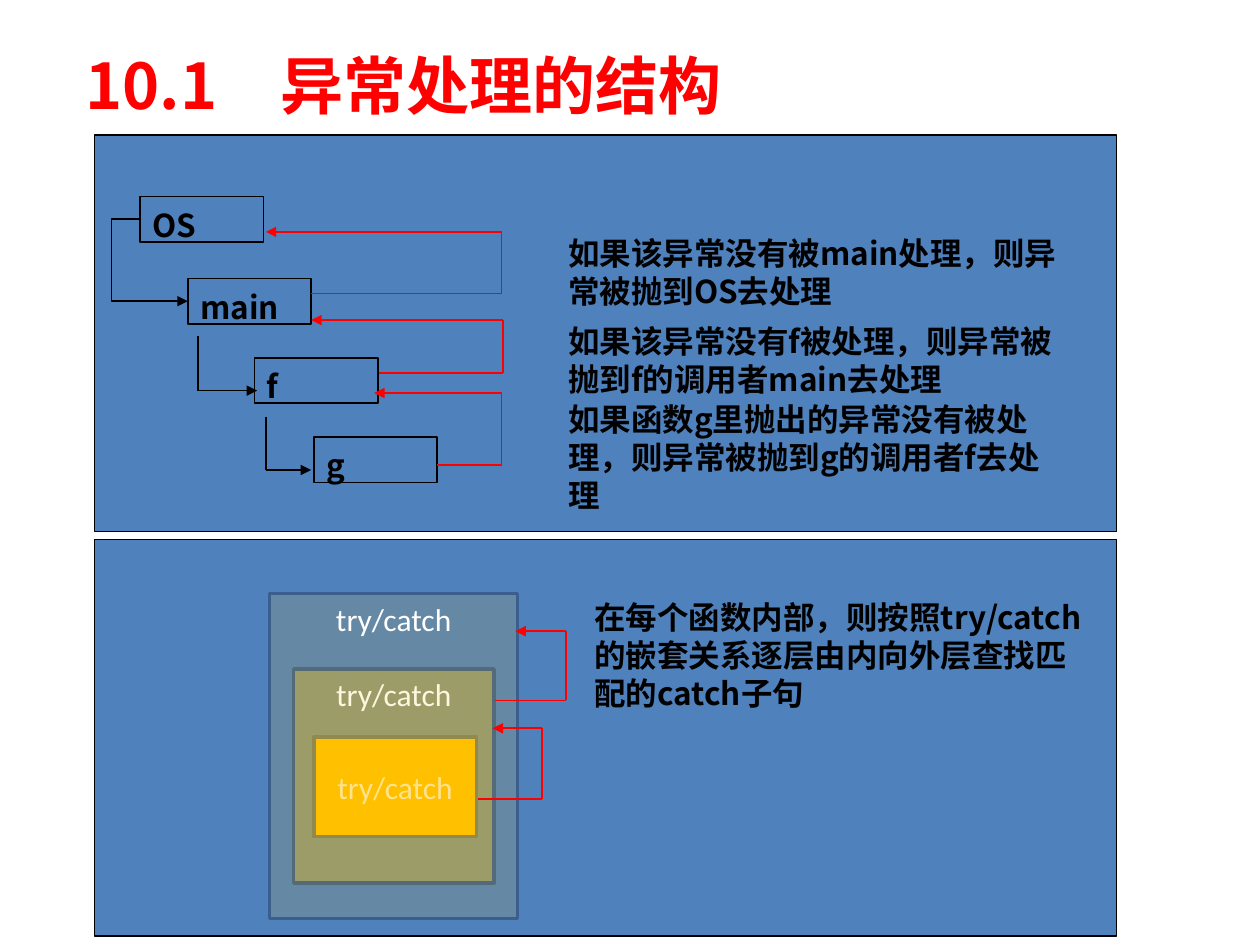
import pptx
import pptx.util
import pptx.dml.color
import pptx.enum.shapes
import pptx.enum.text
import pptx.oxml
import pptx.oxml.ns

Pt = pptx.util.Pt
SHAPE = pptx.enum.shapes.MSO_SHAPE
CONNECTOR = pptx.enum.shapes.MSO_CONNECTOR
ANCHOR = pptx.enum.text.MSO_ANCHOR
ALIGN = pptx.enum.text.PP_ALIGN
BLACK, RED, WHITE = "000000", "FF0000", "FFFFFF"
BLUE, NAVY, AMBER = "4F81BD", "3A5F8C", "FFC000"
BODY_FONT = "Noto Sans CJK JP"


def rgb(value):
    return pptx.dml.color.RGBColor.from_string(value)


def add_xml(parent, tag, **attrs):
    el = pptx.oxml.parse_xml(f"<{tag} {pptx.oxml.ns.nsdecls('a')}/>")
    for name, value in attrs.items():
        el.set(name, value)
    parent.append(el)
    return el


def write(sp, text, size=18, font=BODY_FONT, color=BLACK, bold=True,
          align=ALIGN.LEFT, anchor=ANCHOR.TOP, spacing=None, top=3.6):
    tf = sp.text_frame
    tf.word_wrap = True
    tf.vertical_anchor = anchor
    tf.margin_top = Pt(top)
    p = tf.paragraphs[0]
    p.alignment = align
    if spacing:
        p.line_spacing = Pt(spacing)
    r = p.add_run()
    r.text = text
    r.font.size = Pt(size)
    r.font.name = font
    r.font.bold = bold
    r.font.color.rgb = rgb(color)
    add_xml(r.font._element, "a:ea", typeface=font)


def add_text(s, x, y, w, h, text, **style):
    write(s.shapes.add_textbox(Pt(x), Pt(y), Pt(w), Pt(h)), text, **style)


def add_note(s, x, y, w, h, text):
    add_text(s, x, y, w, h, text, spacing=21.7, top=5.2)


def add_rect(s, x, y, w, h, fill=None, alpha=100, line=BLACK, width=1):
    sp = s.shapes.add_shape(SHAPE.RECTANGLE, Pt(x), Pt(y), Pt(w), Pt(h))
    sp.shadow.inherit = False
    sp.line.color.rgb = rgb(line)
    sp.line.width = Pt(width)
    if fill is None:
        sp.fill.background()
        return sp
    sp.fill.solid()
    sp.fill.fore_color.rgb = rgb(fill)
    if alpha < 100:
        color = sp._element.spPr.find(".//" + pptx.oxml.ns.qn("a:srgbClr"))
        add_xml(color, "a:alpha", val=str(alpha * 1000))
    return sp


def add_line(s, start, end, color, arrow=False, kind=CONNECTOR.STRAIGHT):
    cx = s.shapes.add_connector(kind, *(Pt(v) for v in start + end))
    cx.line.color.rgb = rgb(color)
    cx.line.width = Pt(1)
    if arrow:
        add_xml(cx.line._get_or_add_ln(), "a:tailEnd", type="triangle")
    add_xml(cx._element.spPr, "a:effectLst")
    return cx


def add_route(s, points, color):
    for i in range(1, len(points)):
        add_line(s, points[i - 1], points[i], color, i == len(points) - 1)


def add_return(s, x, y, x1, y1, bend, x2, y2):
    points = [(x1, y1), (bend, y1), (bend, y2), (x2, y2)]
    add_route(s, [(x + px, y + py) for px, py in points], RED)


def title(s, x, y, w, h):
    add_text(s, x, y, w, h, "10.1\u3000异常处理的结构".replace("\u3000", "　"), size=36,
             font="Noto Sans CJK SC", color=RED, anchor=ANCHOR.MIDDLE)


def call_chain(s, x, y, w, h):
    add_rect(s, x, y, w, h, BLUE)
    calls = [("OS", 26, 35.3), ("main", 53.3, 82.1),
             ("f", 91.4, 127.5), ("g", 125.3, 172.8)]
    for name, dx, dy in calls:
        sp = add_rect(s, x + dx, y + dy, 70.6, 26)
        write(sp, name, spacing=21.7, top=5.2)

    cx = add_line(s, (x + 26, y + 48.3), (x + 53.3, y + 95.1), BLACK, True,
                  CONNECTOR.ELBOW)
    guides = cx._element.spPr.prstGeom.get_or_add_avLst()
    add_xml(guides, "a:gd", name="adj1", fmla="val -59800")

    for dx, top, bottom, end in [(59, 115.2, 146.2, 92.9),
                                 (97.9, 161.3, 191.6, 123.8)]:
        add_route(s, [(x + dx, y + top), (x + dx, y + bottom),
                      (x + end, y + bottom)], BLACK)

    for loop in [(195.8, 188.7, 232.6, 159.8, 147.6),
                 (162.7, 136.1, 233.3, 123.8, 105.9),
                 (123.8, 90.8, 232.6, 97.9, 55.5)]:
        add_return(s, x, y, *loop)

    notes = [(51.2, "如果该异常没有被main处理，则异常被抛到OS去处理"),
             (101.6, "如果该异常没有f被处理，则异常被抛到f的调用者main去处理"),
             (146.2, "如果函数g里抛出的异常没有被处理，则异常被抛到g的调用者f去处理")]
    for dy, text in notes:
        add_note(s, x + 263.5, y + dy, 294.5, 44.6, text)


def nested_catch(s, x, y, w, h):
    add_rect(s, x, y, w, h, BLUE)
    blocks = [(125.3, 113, 92.9, 56.9, 100, ANCHOR.MIDDLE),
              (113.8, 74.1, 114.5, 122.4, 36, ANCHOR.TOP),
              (100.1, 30.9, 141.8, 185.8, 13, ANCHOR.TOP)]
    for dx, dy, bw, bh, alpha, anchor in blocks:
        sp = add_rect(s, x + dx, y + dy, bw, bh, AMBER, alpha, NAVY, 2)
        write(sp, "try/catch", font="Calibri", color=WHITE, bold=False,
              align=ALIGN.CENTER, anchor=anchor)

    for loop in [(218.9, 148.3, 255.6, 227.5, 108),
                 (229, 92.1, 269.3, 240.5, 52.5)]:
        add_return(s, x, y, *loop)
    add_note(s, x + 278.6, y + 28, 294.5, 72.7,
             "在每个函数内部，则按照try/catch的嵌套关系逐层由内向外层查找匹配的catch子句")


def main():
    prs = pptx.Presentation()
    prs.slide_width, prs.slide_height = Pt(720), Pt(540)
    s = prs.slides.add_slide(prs.slide_layouts[6])
    title(s, 41.8, 15.1, 612, 66.2)
    call_chain(s, 54, 77, 584, 226.8)
    nested_catch(s, 54, 308.2, 584, 226.8)
    prs.save("out.pptx")


if __name__ == "__main__":
    main()
